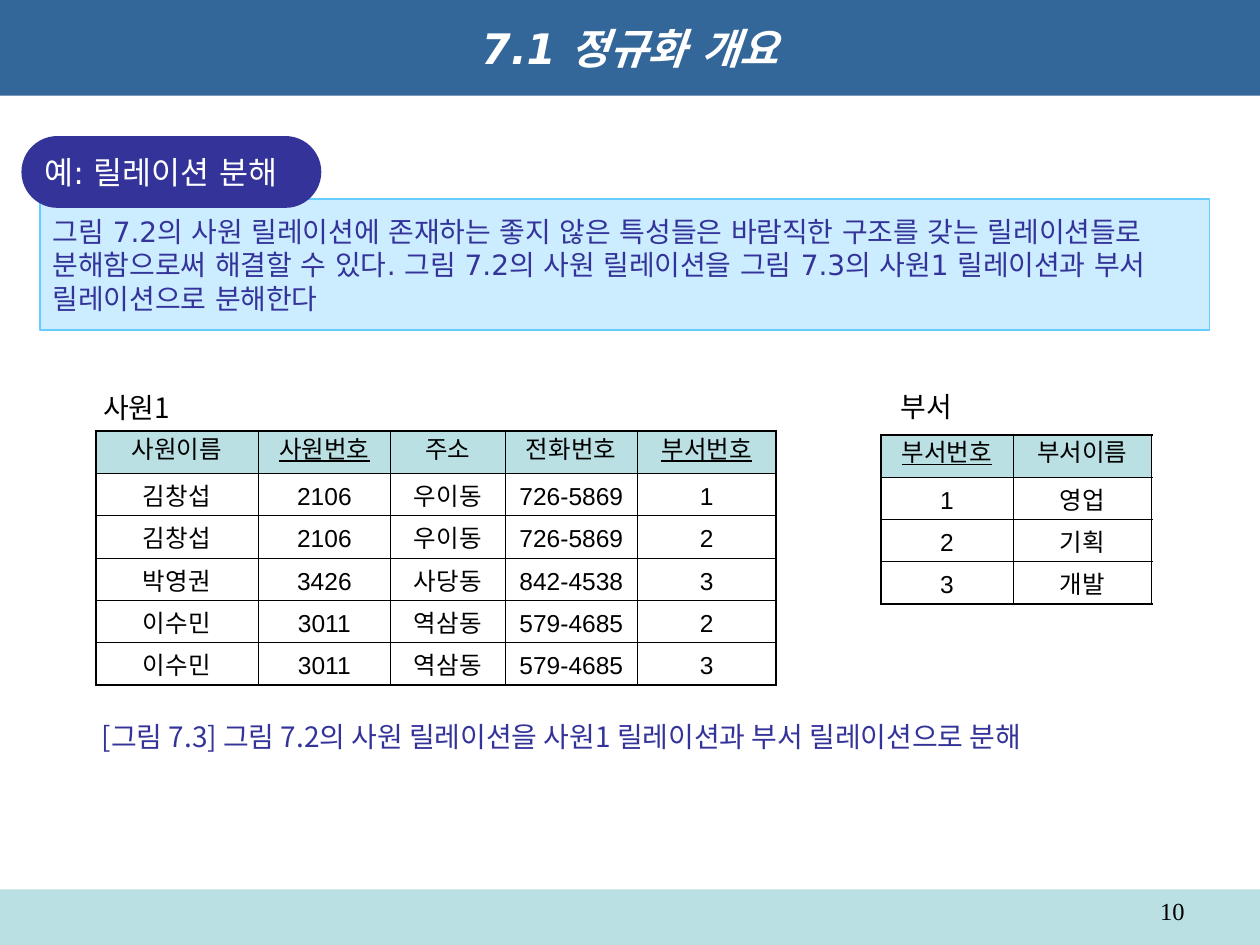
from lxml.etree import SubElement
from pptx import Presentation
from pptx.dml.color import RGBColor
from pptx.enum.shapes import MSO_SHAPE as SHAPE
from pptx.enum.text import MSO_ANCHOR as ANCHOR, PP_ALIGN as ALIGN
from pptx.oxml.ns import qn
from pptx.util import Inches, Pt

COLORS = {"band": "336699", "pale": "BBE0E3", "box": "CCECFF", "edge": "66CCFF",
          "indigo": "333399", "white": "FFFFFF", "black": "000000"}
SANS, CJK_JP, CJK_KR = "DejaVu Sans", "Noto Sans CJK JP", "Noto Sans CJK KR"
WIDTH, HEIGHT = 10, 7.5
FOOTER_TOP = 7.06
ROW_HEIGHT = 0.336
THIN, THICK = 0.45, 1.08

TITLE = "7.1 정규화 개요"
TOPIC = "예: 릴레이션 분해"
SUMMARY = ("그림 7.2의 사원 릴레이션에 존재하는 좋지 않은 특성들은 바람직한 구조를 갖는 "
           "릴레이션들로 분해함으로써 해결할 수 있다. 그림 7.2의 사원 릴레이션을 "
           "그림 7.3의 사원1 릴레이션과 부서 릴레이션으로 분해한다")
CAPTION = "[그림 7.3] 그림 7.2의 사원 릴레이션을 사원1 릴레이션과 부서 릴레이션으로 분해"
RELATIONS = [
    {"name": "사원1", "label": (0.72, 3.05, 0.81, 0.37), "at": (0.76, 3.42),
     "cols": (1.29, 1.05, 0.91, 1.05, 1.1), "keys": ("사원번호", "부서번호"),
     "rows": [("사원이름", "사원번호", "주소", "전화번호", "부서번호"),
              ("김창섭", "2106", "우이동", "726-5869", "1"),
              ("김창섭", "2106", "우이동", "726-5869", "2"),
              ("박영권", "3426", "사당동", "842-4538", "3"),
              ("이수민", "3011", "역삼동", "579-4685", "2"),
              ("이수민", "3011", "역삼동", "579-4685", "3")]},
    {"name": "부서", "label": (7.05, 3.04, 0.63, 0.37), "at": (6.99, 3.45),
     "cols": (1.05, 1.1), "keys": ("부서번호",),
     "rows": [("부서번호", "부서이름"), ("1", "영업"), ("2", "기획"), ("3", "개발")]},
]


def rgb(name):
    return RGBColor.from_string(COLORS[name])


def write(tf, text, size, font, color, align=ALIGN.LEFT, anchor=ANCHOR.MIDDLE, wrap=True):
    tf.text = text
    tf.word_wrap = wrap
    tf.vertical_anchor = anchor
    style(tf.paragraphs[0], size, font, color, align)


def style(p, size, font, color, align):
    """Format a one-run paragraph, with the same face for Latin and Hangul."""
    p.alignment = align
    f = p.runs[0].font
    f.size, f.name = Pt(size), font
    f.color.rgb = rgb(color)
    SubElement(p.runs[0]._r.get_or_add_rPr(), qn("a:ea"), typeface=font)


def add_box(slide, kind, at, fill, line=None):
    sp = slide.shapes.add_shape(kind, *map(Inches, at))
    sp.shadow.inherit = False
    sp.fill.solid()
    sp.fill.fore_color.rgb = rgb(fill)
    if line:
        sp.line.color.rgb = rgb(line)
        sp.line.width = Pt(1)
    else:
        sp.line.fill.background()
    return sp


def add_label(slide, at, *args, **kwargs):
    write(slide.shapes.add_textbox(*map(Inches, at)).text_frame, *args, **kwargs)


def set_borders(cell, widths):
    """Draw left, right, top and bottom borders; they must precede the cell's fill."""
    tc_pr = cell._tc.get_or_add_tcPr()
    for i, (side, width) in enumerate(zip("LRTB", widths)):
        ln = SubElement(tc_pr, qn(f"a:ln{side}"), w=str(int(Pt(width))))
        SubElement(SubElement(ln, qn("a:solidFill")), qn("a:srgbClr"), val=COLORS["black"])
        tc_pr.insert(i, ln)


def add_relation(slide, rel):
    add_label(slide, rel["label"], rel["name"], 16, CJK_JP, "black",
              anchor=ANCHOR.TOP, wrap=False)
    rows, cols = rel["rows"], rel["cols"]
    size = sum(cols), ROW_HEIGHT * len(rows)
    table = slide.shapes.add_table(len(rows), len(cols),
                                   *map(Inches, rel["at"] + size)).table
    table.first_row = table.horz_banding = False
    for col, width in zip(table.columns, cols):
        col.width = Inches(width)
    for r, row in enumerate(rows):
        table.rows[r].height = Inches(ROW_HEIGHT)
        for c, text in enumerate(row):
            cell = table.cell(r, c)
            cell.margin_left = cell.margin_right = Inches(0.05)
            cell.margin_top, cell.margin_bottom = Inches(0.04), 0
            cell.vertical_anchor = ANCHOR.MIDDLE if r else ANCHOR.TOP
            cell.text = text
            p = cell.text_frame.paragraphs[0]
            style(p, 14, "Arial", "black", ALIGN.CENTER)
            if r == 0:
                p.runs[0].font.underline = text in rel["keys"]
                cell.fill.solid()
                cell.fill.fore_color.rgb = rgb("pale")
            else:
                cell.fill.background()
            outer = c == 0, c == len(cols) - 1, r == 0, r == len(rows) - 1
            set_borders(cell, [THICK if edge else THIN for edge in outer])


def main():
    prs = Presentation()
    prs.slide_width, prs.slide_height = Inches(WIDTH), Inches(HEIGHT)
    slide = prs.slides.add_slide(prs.slide_layouts[5])

    title = slide.shapes.title
    title.left, title.top, title.width, title.height = map(Inches, (0, 0, WIDTH, 0.76))
    title.fill.solid()
    title.fill.fore_color.rgb = rgb("band")
    write(title.text_frame, TITLE, 24, SANS, "white", ALIGN.CENTER)
    font = title.text_frame.paragraphs[0].runs[0].font
    font.bold = font.italic = True

    add_box(slide, SHAPE.RECTANGLE, (0, FOOTER_TOP, WIDTH, HEIGHT - FOOTER_TOP), "pale")
    add_label(slide, (7.17, FOOTER_TOP, 2.33, 0.29), "10", 14, "Times New Roman", "black",
              ALIGN.RIGHT, ANCHOR.TOP)

    summary = add_box(slide, SHAPE.RECTANGLE, (0.32, 1.58, 9.28, 1.04), "box", "edge")
    write(summary.text_frame, SUMMARY, 16, SANS, "indigo")
    topic = add_box(slide, SHAPE.ROUNDED_RECTANGLE, (0.17, 1.08, 2.38, 0.57), "indigo")
    topic.adjustments[0] = 0.5
    write(topic.text_frame, TOPIC, 18, SANS, "white", wrap=False)

    for rel in RELATIONS:
        add_relation(slide, rel)
    add_label(slide, (0.71, 5.66, 8.33, 0.37), CAPTION, 16, CJK_KR, "indigo")
    prs.save("out.pptx")


if __name__ == "__main__":
    main()
